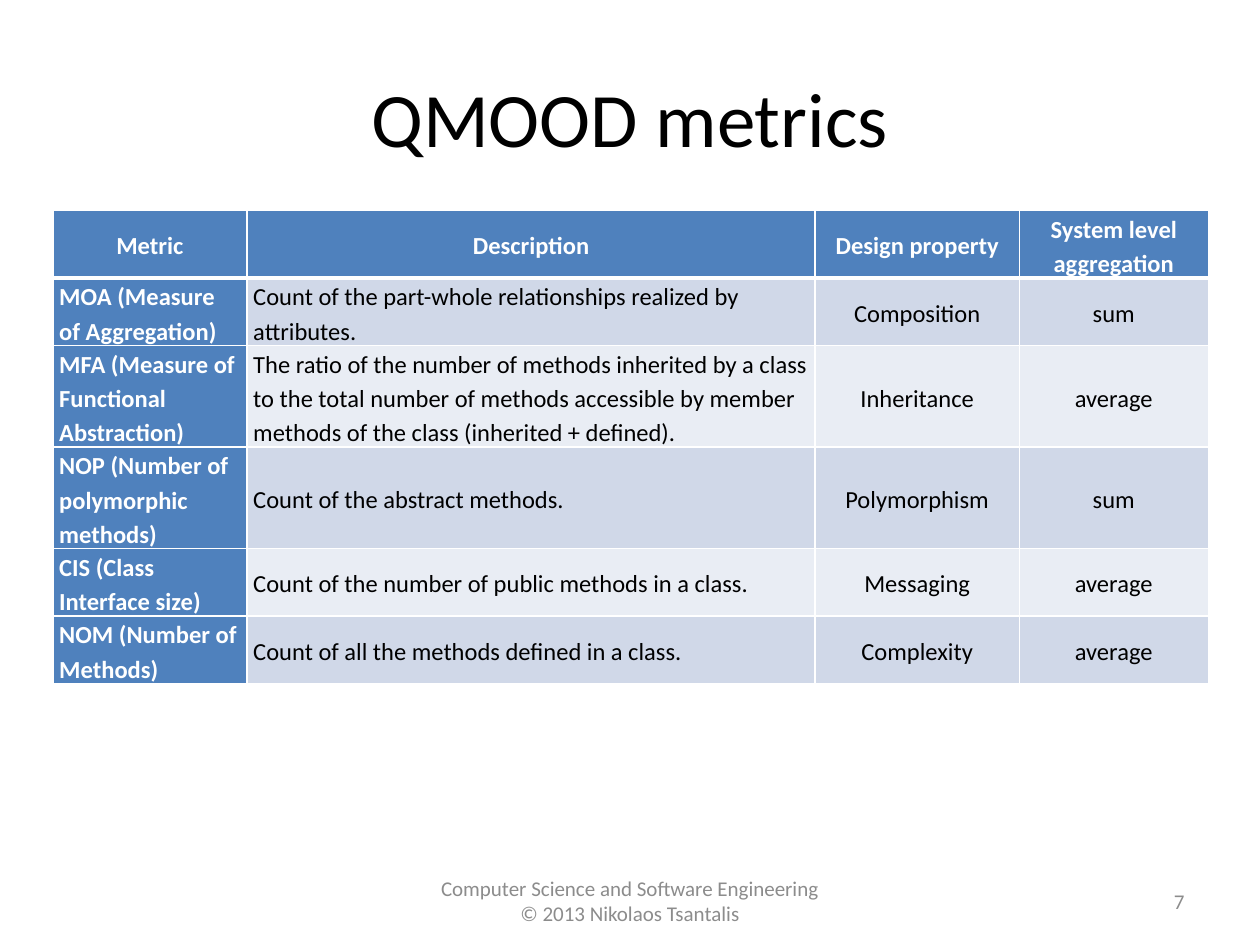
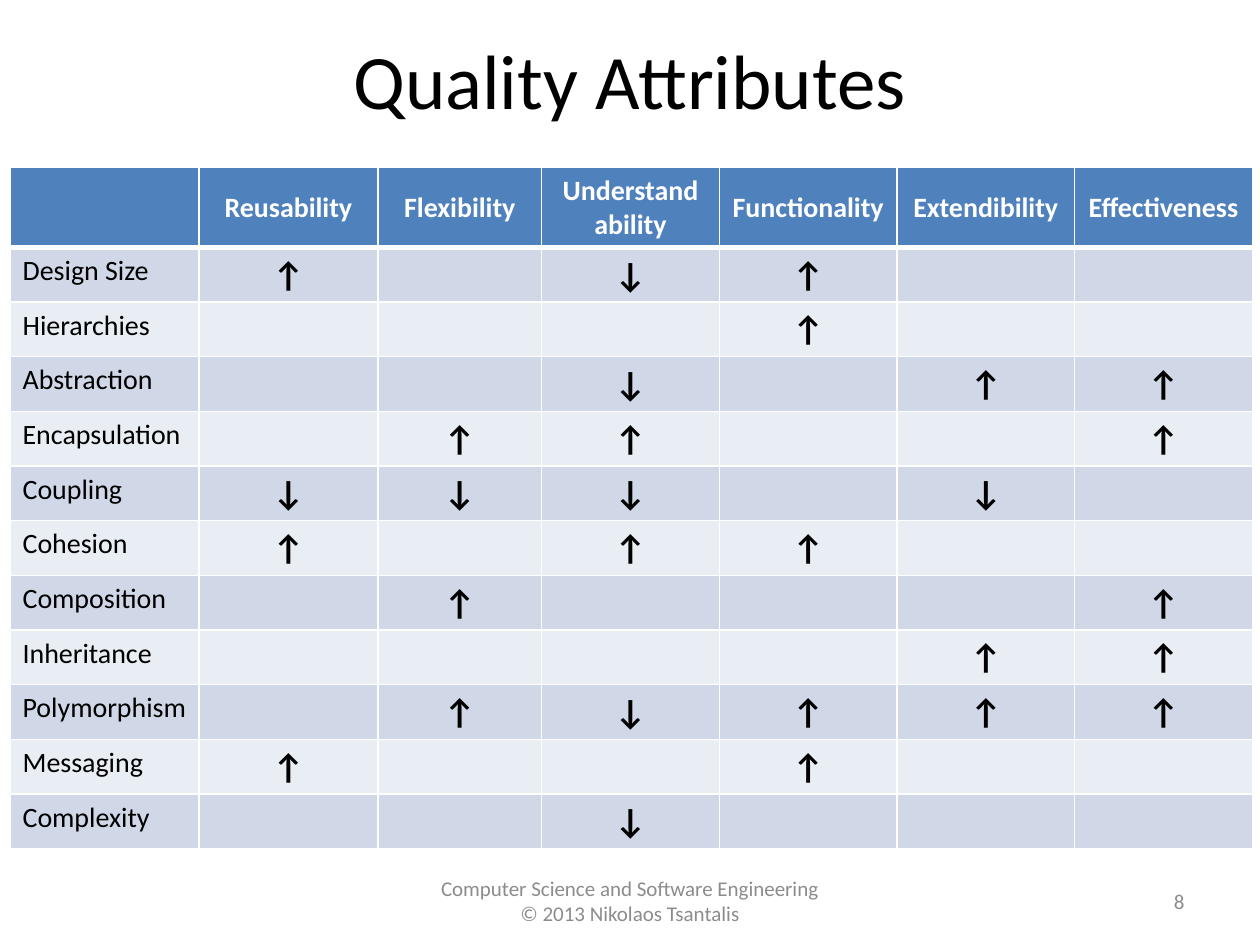
"""Build two slides on the QMOOD metrics and the quality attributes they affect."""
import dataclasses

import lxml.etree
import pptx
import pptx.dml.color
import pptx.enum.text
import pptx.oxml.ns
import pptx.util

Inches = pptx.util.Inches
ALIGN = pptx.enum.text.PP_ALIGN
MIDDLE = pptx.enum.text.MSO_ANCHOR.MIDDLE
TOP = pptx.enum.text.MSO_ANCHOR.TOP


@dataclasses.dataclass(frozen=True)
class Theme:
    """Colours, font and type sizes shared by the slides."""
    font: str = "Calibri"
    ink: str = "000000"
    muted: str = "8C8C8C"
    paper: str = "FFFFFF"
    accent: str = "4F81BD"
    bands: tuple = ("D0D8E8", "E9EDF4")
    title_size: int = 44
    footer_size: int = 12
    metric_size: int = 14
    attribute_size: int = 16
    arrow_size: int = 20
    rule: int = 1
    header_rule: int = 3


THEME = Theme()

FOOTER = ("Computer Science and Software Engineering", "© 2013 Nikolaos Tsantalis")

METRIC_HEADINGS = ("Metric", "Description", "Design property", "System level aggregation")
METRICS = (
    ("MOA (Measure of Aggregation)",
     "Count of the part-whole relationships realized by attributes.",
     "Composition", "sum"),
    ("MFA (Measure of Functional Abstraction)",
     "The ratio of the number of methods inherited by a class to the total number of "
     "methods accessible by member methods of the class (inherited + defined).",
     "Inheritance", "average"),
    ("NOP (Number of polymorphic methods)", "Count of the abstract methods.",
     "Polymorphism", "sum"),
    ("CIS (Class Interface size)", "Count of the number of public methods in a class.",
     "Messaging", "average"),
    ("NOM (Number of Methods)", "Count of all the methods defined in a class.",
     "Complexity", "average"),
)

ATTRIBUTES = ("Reusability", "Flexibility", "Understand\nability", "Functionality",
              "Extendibility", "Effectiveness")
NO_EFFECT = "."
EFFECTS = {
    "Design Size": "↑.↓↑..",
    "Hierarchies": "...↑..",
    "Abstraction": "..↓.↑↑",
    "Encapsulation": ".↑↑..↑",
    "Coupling": "↓↓↓.↓.",
    "Cohesion": "↑.↑↑..",
    "Composition": ".↑...↑",
    "Inheritance": "....↑↑",
    "Polymorphism": ".↑↓↑↑↑",
    "Messaging": "↑..↑..",
    "Complexity": "..↓...",
}


def rgb(code):
    """Turn a hex code into a colour."""
    return pptx.dml.color.RGBColor.from_string(code)


def write_lines(frame, lines, size, color, align, bold=False, spacing=None):
    """Write each line as a paragraph with one run."""
    for index, line in enumerate(lines):
        paragraph = frame.add_paragraph() if index else frame.paragraphs[0]
        paragraph.alignment = align
        if spacing:
            paragraph.line_spacing = spacing
        run = paragraph.add_run()
        run.text = line
        run.font.name = THEME.font
        run.font.size = pptx.util.Pt(size)
        run.font.bold = bold
        run.font.color.rgb = rgb(color)


def add_label(slide, box, lines, size, color, align):
    """Add a vertically centred text box."""
    frame = slide.shapes.add_textbox(*map(Inches, box)).text_frame
    frame.word_wrap = True
    frame.vertical_anchor = MIDDLE
    write_lines(frame, lines, size, color, align)


def add_titled_slide(deck, title, title_top, number):
    """Add a slide with its title, footer and page number."""
    slide = deck.slides.add_slide(deck.slide_layouts[6])
    add_label(slide, (0, 6.95, 10, 0.4), FOOTER, THEME.footer_size, THEME.muted, ALIGN.CENTER)
    add_label(slide, (0.5, title_top, 9, 1.25), [title], THEME.title_size, THEME.ink, ALIGN.CENTER)
    add_label(slide, (7.17, 6.95, 2.33, 0.4), [str(number)], THEME.footer_size,
              THEME.muted, ALIGN.RIGHT)
    return slide


def set_borders(cell, top, bottom):
    """Rule the four sides of a cell in the paper colour."""
    properties = cell._tc.get_or_add_tcPr()
    widths = {"a:lnL": THEME.rule, "a:lnR": THEME.rule, "a:lnT": top, "a:lnB": bottom}
    for position, (side, width) in enumerate(widths.items()):
        line = lxml.etree.Element(pptx.oxml.ns.qn(side), w=str(pptx.util.Pt(width)))
        fill = lxml.etree.SubElement(line, pptx.oxml.ns.qn("a:solidFill"))
        lxml.etree.SubElement(fill, pptx.oxml.ns.qn("a:srgbClr"), val=THEME.paper)
        properties.insert(position, line)


def add_grid(slide, box, widths, heights, accent_first_column=False):
    """Add a ruled table with a header row and banded body rows."""
    holder = slide.shapes.add_table(len(heights), len(widths), *map(Inches, box))
    grid = holder.table
    for column, width in zip(grid.columns, widths):
        column.width = Inches(width)
    for row_index, (row, height) in enumerate(zip(grid.rows, heights)):
        row.height = Inches(height)
        for column_index, cell in enumerate(row.cells):
            accented = row_index == 0 or (accent_first_column and column_index == 0)
            cell.fill.solid()
            cell.fill.fore_color.rgb = rgb(
                THEME.accent if accented else THEME.bands[(row_index - 1) % 2])
            set_borders(cell,
                        THEME.header_rule if row_index == 1 else THEME.rule,
                        THEME.header_rule if row_index == 0 else THEME.rule)
    holder.height = Inches(box[3])
    return grid


def fill_cell(cell, text, size, color, align, bold=False, anchor=MIDDLE, spacing=None):
    """Write text into a table cell."""
    cell.vertical_anchor = anchor
    write_lines(cell.text_frame, text.split("\n"), size, color, align, bold, spacing)


def add_metrics_slide(deck):
    """Add the table that defines the metrics."""
    slide = add_titled_slide(deck, "QMOOD metrics", 0.3, 7)
    grid = add_grid(slide, (0.42, 1.67, 9.17, 3.76), (1.54, 4.51, 1.62, 1.5),
                    (0.32, 0.32, 0.64, 0.48, 0.32, 0.32), accent_first_column=True)
    for row_index, entries in enumerate((METRIC_HEADINGS, *METRICS)):
        for column_index, entry in enumerate(entries):
            cell = grid.cell(row_index, column_index)
            cell.margin_left = cell.margin_right = Inches(0.05)
            cell.margin_top = cell.margin_bottom = 0
            heading = row_index == 0 or column_index == 0
            centred = row_index == 0 or column_index > 1
            fill_cell(cell, entry, THEME.metric_size, THEME.paper if heading else THEME.ink,
                      ALIGN.CENTER if centred else ALIGN.LEFT, bold=heading, spacing=1.15)


def add_attributes_slide(deck):
    """Add the matrix of design properties against quality attributes."""
    slide = add_titled_slide(deck, "Quality Attributes", 0, 8)
    grid = add_grid(slide, (0.08, 1.33, 9.84, 5.4), (1.5, 1.42, 1.3) + (1.41,) * 4,
                    (0.41,) * (len(EFFECTS) + 1))
    for column_index, attribute in enumerate(ATTRIBUTES, 1):
        fill_cell(grid.cell(0, column_index), attribute, THEME.attribute_size,
                  THEME.paper, ALIGN.CENTER, bold=True)
    for row_index, (design_property, effects) in enumerate(EFFECTS.items(), 1):
        fill_cell(grid.cell(row_index, 0), design_property, THEME.attribute_size,
                  THEME.ink, ALIGN.LEFT, anchor=TOP)
        for column_index, effect in enumerate(effects, 1):
            if effect != NO_EFFECT:
                fill_cell(grid.cell(row_index, column_index), effect, THEME.arrow_size,
                          THEME.ink, ALIGN.CENTER, bold=True, anchor=TOP)


def main():
    """Build and save the deck."""
    deck = pptx.Presentation()
    deck.slide_width = Inches(10)
    deck.slide_height = Inches(7.5)
    add_metrics_slide(deck)
    add_attributes_slide(deck)
    deck.save("out.pptx")


if __name__ == "__main__":
    main()
